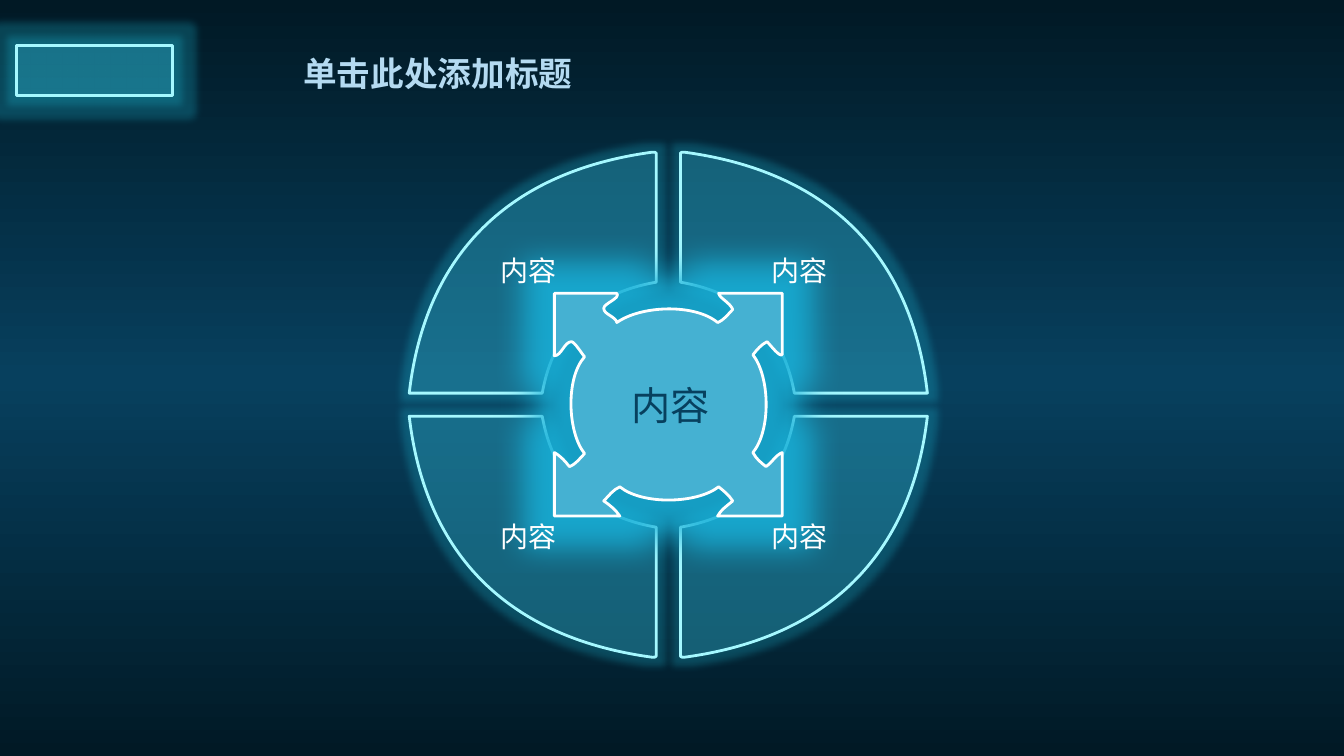
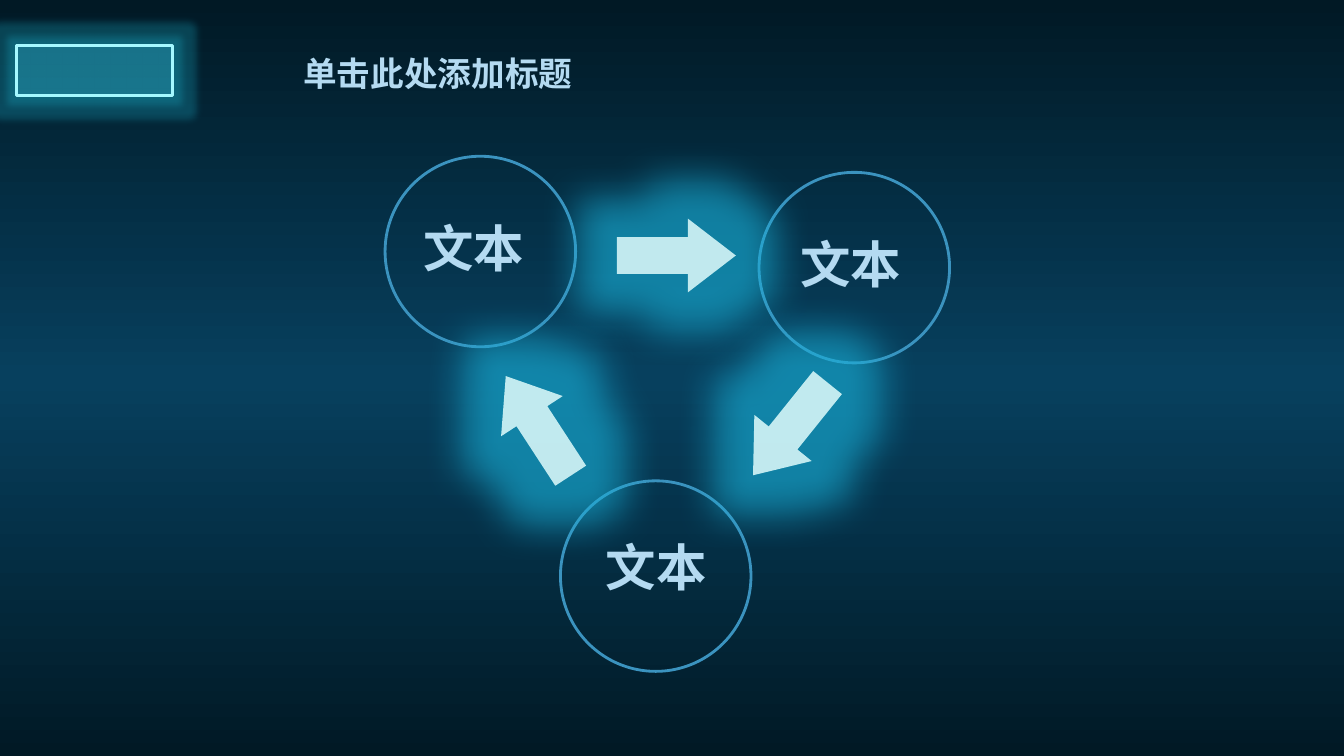
from dataclasses import dataclass
from itertools import product

from lxml.etree import SubElement
from pptx import Presentation
from pptx.dml.color import RGBColor as Rgb
from pptx.enum.shapes import MSO_SHAPE as Preset
from pptx.enum.text import MSO_ANCHOR as Anchor
from pptx.enum.text import MSO_AUTO_SIZE as AutoSize
from pptx.enum.text import PP_ALIGN as Align
from pptx.oxml.ns import qn
from pptx.util import Inches, Pt

# Grid: every column and row is a tenth of an inch
CELL = Inches(0.1)
COLUMNS, ROWS = 133.33, 75


@dataclass(frozen=True)
class Theme:
    font: str = "Noto Sans CJK SC"
    night: str = "011925"
    deep: str = "07405E"
    panel: str = "45B1D2"
    edge: str = "A5F8FF"
    ring: str = "3B93BF"
    heading: str = "B4DAF1"
    white: str = "FFFFFF"
    arrow: str = "E5FFFE"
    soft_glow: str = "1FC0DC"
    strong_glow: str = "18B0D8"
    title_size: int = 24
    label_size: int = 20
    hub_size: int = 28
    node_size: int = 36
    line_width: int = 2


THEME = Theme()


def grid(*cells):
    """Turn grid cells into slide units."""
    return [round(cell * CELL) for cell in cells]


def set_alpha(color, percent):
    SubElement(color, qn("a:alpha"), val=str(percent * 1000))


def write(box, text, size, color, bold=False, align=Align.LEFT,
          anchor=Anchor.TOP, wrap=True):
    """Fill a text box or placeholder with one formatted line."""
    frame = box.text_frame
    frame.word_wrap, frame.auto_size = wrap, AutoSize.NONE
    frame.vertical_anchor = anchor
    para = frame.paragraphs[0]
    para.alignment = align
    span = para.add_run()
    span.text = text
    font = span.font
    font.name, font.size, font.bold = THEME.font, Pt(size), bold
    font.color.rgb = Rgb.from_string(color)
    SubElement(span._r.get_or_add_rPr(), qn("a:ea"), typeface=THEME.font)


def pairs(segment):
    """Split x, y, x, y, ... into points."""
    return list(zip(segment[::2], segment[1::2]))


def bend(shape, segments):
    """Merge each run of three straight steps into its cubic curve."""
    steps = list(shape._element.iter(qn("a:lnTo")))
    for segment in segments:
        first, *others = [steps.pop(0) for _ in pairs(segment)]
        if others:
            first.tag = qn("a:cubicBezTo")
        for step in others:
            first.append(step[0])
            step.getparent().remove(step)


class Deck:
    """Holds the style and the current slide."""

    def __init__(self, theme):
        self.theme = theme
        self.deck = Presentation()
        self.deck.slide_width, self.deck.slide_height = grid(COLUMNS, ROWS)
        self.layout = self.deck.slide_layouts[5]
        self.page = None

    def add_page(self, title):
        self.page = self.deck.slides.add_slide(self.layout)
        if len(self.deck.slides) == 1:
            self.add_backdrop()
        box = self.page.shapes.title
        box.left, box.top, box.width, box.height = grid(29.1, 4.7, 47.8, 5)
        write(box, title, self.theme.title_size, self.theme.heading,
              bold=True, anchor=Anchor.MIDDLE)

    def add_backdrop(self):
        """Put the gradient and the glowing frame on the shared layout."""
        backdrop = self.preset(Preset.RECTANGLE, (0, 0, COLUMNS, ROWS))
        self.shade(backdrop.fill, self.theme.night, self.theme.deep,
                   self.theme.night)
        frame = self.preset(Preset.RECTANGLE, (1.6, 4.5, 15.5, 5),
                            fill=self.theme.panel, alpha=20,
                            line=self.theme.edge,
                            glow=(self.theme.soft_glow, 11, 25))
        for index, shape in enumerate((backdrop, frame)):
            element = shape._element
            element.nvSpPr.cNvPr.set("id", str(100 + index))
            self.layout.shapes._spTree.insert(2 + index, element)

    def shade(self, fill, *colors):
        """Even gradient from top to bottom."""
        fill.gradient()
        fill.gradient_angle = 270
        stops = fill.gradient_stops._gsLst
        for stop in list(stops):
            stops.remove(stop)
        for index, color in enumerate(colors):
            position = 100000 * index // (len(colors) - 1)
            stop = SubElement(stops, qn("a:gs"), pos=str(position))
            SubElement(stop, qn("a:srgbClr"), val=color)

    def paint(self, shape, fill=None, alpha=100, line=None, glow=None):
        shape.shadow.inherit = False
        properties = shape._element.spPr
        if fill:
            shape.fill.solid()
            shape.fill.fore_color.rgb = Rgb.from_string(fill)
            set_alpha(properties.find(qn("a:solidFill"))[0], alpha)
        else:
            shape.fill.background()
        if line:
            shape.line.color.rgb = Rgb.from_string(line)
            shape.line.width = Pt(self.theme.line_width)
        else:
            shape.line.fill.background()
        if glow:
            color, radius, strength = glow
            halo = SubElement(properties.find(qn("a:effectLst")), qn("a:glow"),
                              rad=str(Pt(radius)))
            set_alpha(SubElement(halo, qn("a:srgbClr"), val=color), strength)

    def preset(self, kind, area, rotation=0, adjust=(), **style):
        shape = self.page.shapes.add_shape(kind, *grid(*area))
        shape.rotation = rotation
        for index, value in enumerate(adjust):
            shape.adjustments[index] = value
        self.paint(shape, **style)
        return shape

    def outline(self, start, segments, origin=(0, 0), flip=(1, 1), **style):
        """Draw lines (x, y) and curves (x1, y1, x2, y2, x, y)."""
        points = [start] + [point for part in segments for point in pairs(part)]
        corners = [grid(*(zero + sign * value for zero, sign, value
                          in zip(origin, flip, point))) for point in points]
        builder = self.page.shapes.build_freeform(*corners[0], scale=1.0)
        builder.add_line_segments(corners[1:], close=True)
        shape = builder.convert_to_shape()
        bend(shape, segments)
        self.paint(shape, **style)

    def label(self, area, text, size, color, **style):
        box = self.page.shapes.add_textbox(*grid(*area))
        write(box, text, size, color, **style)


# Ring quarter, measured right and down from the centre of the ring
CENTRE = (66.3, 40.15)
QUARTER_START = (1.2, 24.95)
QUARTER = [
    (1.2, 12.15),
    (7.6, 11.05, 11.4, 7.35, 12.5, 1.15),
    (25.7, 1.15),
    (24.1, 15.05, 15.7, 23.15, 1.6, 25.05),
    (1.4, 25.05, 1.2, 25.05, 1.2, 24.95),
]

# Hub with four curved notches, clockwise from its top left corner
HUB_START = (55, 29.1)
HUB = [
    (61.2, 29.1),
    (61.6, 29.6, 59.9, 30.1, 59.9, 30.6),
    (59.9, 31.2, 61.1, 31.4, 61.2, 32),
    (63.6, 30.3, 68.9, 30.1, 71.2, 32),
    (71.9, 31.7, 72.2, 31.2, 72.7, 30.7),
    (72.4, 30, 71.4, 29.6, 71.3, 29.1),
    (77.6, 29.1),
    (77.6, 35.2),
    (77.3, 35.4, 76.5, 34.3, 76.1, 33.9),
    (75.5, 34.2, 75.1, 34.7, 74.7, 35.2),
    (76.4, 37.4, 76.5, 42.7, 74.7, 44.9),
    (75, 45.5, 75.5, 45.9, 76, 46.3),
    (76.6, 45.9, 76.9, 45.2, 77.6, 44.9),
    (77.6, 51.2),
    (71.2, 51.2),
    (71.5, 50.6, 72.1, 50.2, 72.7, 49.7),
    (72.3, 49.1, 71.8, 48.7, 71.3, 48.3),
    (69.1, 50, 63.7, 50.1, 61.5, 48.3),
    (60.8, 48.6, 60.4, 49.2, 59.9, 49.7),
    (60.5, 50.1, 61.1, 50.6, 61.5, 51.2),
    (55, 51.2),
    (55, 44.9),
    (55.7, 45.3, 56.1, 45.8, 56.5, 46.3),
    (57.2, 46, 57.5, 45.5, 58, 45),
    (56.3, 42.9, 56.1, 37.5, 58, 35.4),
    (57.8, 35.2, 57, 33.9, 56.7, 33.9),
    (56, 33.9, 55.7, 35.3, 55, 35.3),
]


def ring_page(deck):
    theme = deck.theme
    deck.add_page("单击此处添加标题")
    # Four mirrored quarters
    for flip in ((-1, 1), (1, 1), (1, -1), (-1, -1)):
        deck.outline(QUARTER_START, QUARTER, origin=CENTRE, flip=flip,
                     fill=theme.panel, alpha=20, line=theme.edge,
                     glow=(theme.soft_glow, 11, 25))
    # Hub and labels
    deck.outline(HUB_START, HUB, fill=theme.panel, line=theme.white,
                 glow=(theme.strong_glow, 43, 85))
    for left, top in product((75.6, 48.7), (24.7, 51)):
        deck.label((left, top, 7.6, 4.4), "内容", theme.label_size,
                   theme.white, wrap=False)
    deck.label((61.6, 37.3, 9.9, 5.7), "内容", theme.hub_size, theme.deep,
               align=Align.CENTER, wrap=False)


def cycle_page(deck):
    theme = deck.theme
    deck.add_page("单击此处添加标题")
    # Nodes: ring corner, then text corner
    nodes = [((38.2, 15.5), (38.9, 21)),
             ((75.3, 17.1), (76.3, 22.6)),
             ((55.6, 47.7), (57, 52.7))]
    for ring, text in nodes:
        deck.preset(Preset.OVAL, (*ring, 18.9, 18.9), line=theme.ring)
        deck.label((*text, 16.2, 7.1), "文本", theme.node_size,
                   theme.heading, bold=True, align=Align.CENTER)
    # Arrows from node to node
    for left, top, turn in ((61.2, 21.7, 0), (72.5, 38.9, 128.8),
                            (47.5, 38.6, 236.9)):
        deck.preset(Preset.RIGHT_ARROW, (left, top, 11.8, 7.3), rotation=turn,
                    adjust=(0.5, 0.65), fill=theme.arrow, alpha=83,
                    glow=(theme.strong_glow, 56, 62))


def main():
    deck = Deck(THEME)
    ring_page(deck)
    cycle_page(deck)
    deck.deck.save("out.pptx")


if __name__ == "__main__":
    main()
